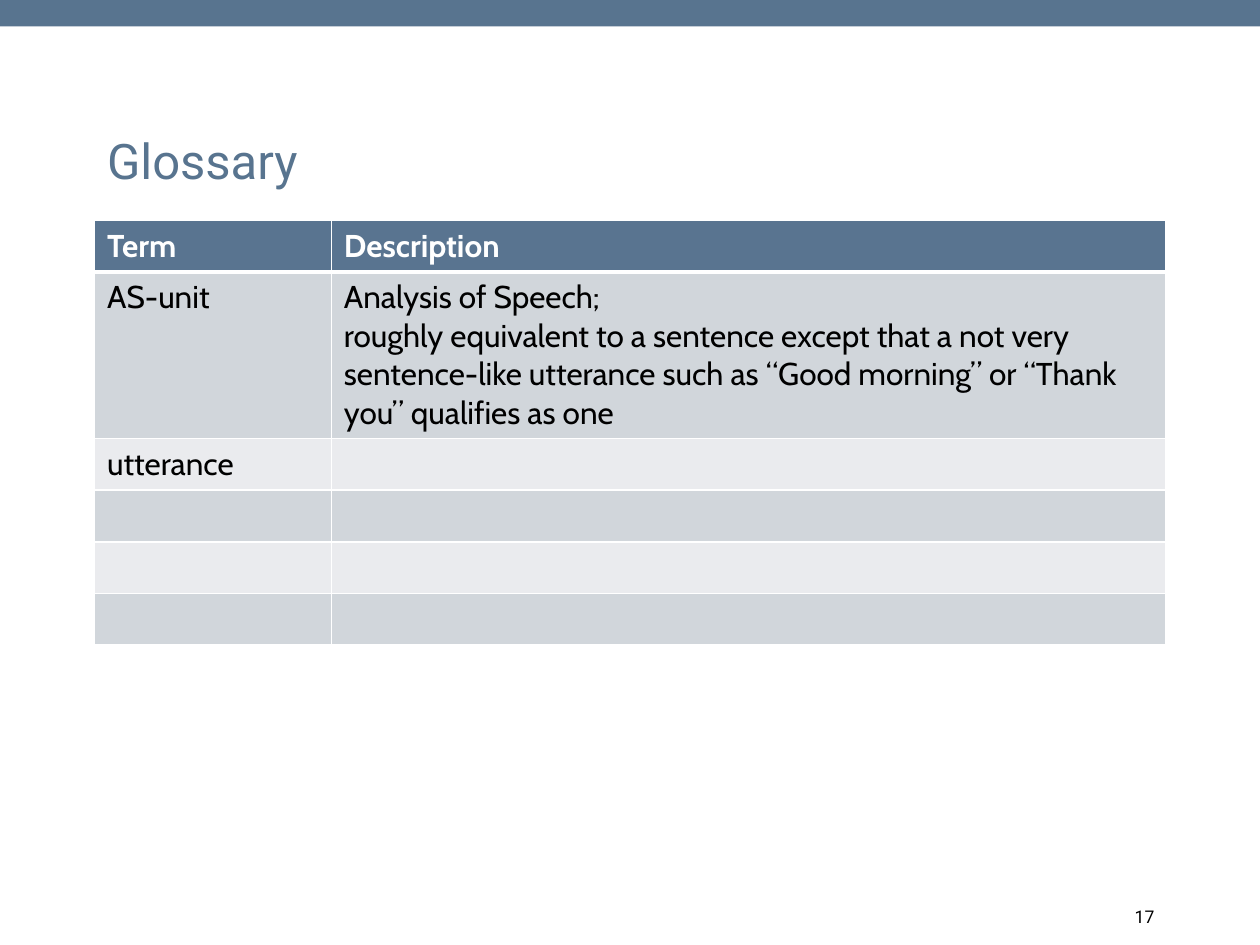
from pptx import Presentation, util as u
from pptx.dml.color import RGBColor
from pptx.enum import shapes, text
from pptx.oxml import parse_xml
from pptx.oxml.ns import nsdecls

TITLE = "Glossary"
PAGE = "17"
ROWS = [
    ("Term", "Description"),
    ("AS-unit", "Analysis of Speech;\vroughly equivalent to a sentence except "
     "that a not very sentence-like utterance such as “Good morning” or "
     "“Thank you” qualifies as one"),
    ("utterance", ""),
    ("", ""),
    ("", ""),
    ("", ""),
]
THEME = dict(bar="58748F", head="597490", odd="D1D6DB", even="EAEBEE",
             ink="000000", paper="FFFFFF", font="Roboto", body="Cabin",
             big=28, mid=18, small=10)

WIDE, HIGH = 10, 7.5
EDGE = 0.75
SPAN = WIDE - 2 * EDGE
TERM = 1.88
LINE = 0.41
TALL = 1.3


def box(left, top, width, height):
    """Turn inches into lengths."""
    return [u.Inches(n) for n in (left, top, width, height)]


def style(frame, font, size, color, bold=False, align=text.PP_ALIGN.LEFT):
    """Format every paragraph and run of a text frame."""
    for para in frame.paragraphs:
        para.alignment = align
        for run in para.runs:
            run.font.name = font
            run.font.size = u.Pt(size)
            run.font.bold = bold
            run.font.color.rgb = RGBColor.from_string(THEME[color])


def border(cell, row):
    """Draw white cell edges, thicker between the header and the body."""
    props = cell._tc.get_or_add_tcPr()
    thick = {"lnB": row == 0, "lnT": row == 1}
    for spot, side in enumerate(("lnL", "lnR", "lnT", "lnB")):
        width = u.Pt(3 if thick.get(side) else 1)
        props.insert(spot, parse_xml(
            f'<a:{side} {nsdecls("a")} w="{width}"><a:solidFill>'
            f'<a:srgbClr val="{THEME["paper"]}"/></a:solidFill></a:{side}>'))


def add_bar(slide):
    """Add the band along the top edge."""
    bar = slide.shapes.add_shape(shapes.MSO_SHAPE.RECTANGLE,
                                 *box(0, 0, WIDE, 0.21))
    bar.shadow.inherit = False
    bar.fill.solid()
    bar.fill.fore_color.rgb = RGBColor.from_string(THEME["bar"])
    bar.line.fill.background()


def add_title(slide):
    """Fill and place the title placeholder."""
    title = slide.shapes.title
    title.left, title.top, title.width, title.height = box(EDGE, 0.99, SPAN, 0.56)
    frame = title.text_frame
    frame.text = TITLE
    frame.vertical_anchor = text.MSO_ANCHOR.MIDDLE
    style(frame, THEME["font"], THEME["big"], "bar")


def add_terms(slide):
    """Add the table of terms."""
    high = LINE * (len(ROWS) - 1) + TALL
    table = slide.shapes.add_table(len(ROWS), 2,
                                   *box(EDGE, 1.75, SPAN, high)).table
    for col, width in zip(table.columns, (TERM, SPAN - TERM)):
        col.width = u.Inches(width)
    for r, words in enumerate(ROWS):
        table.rows[r].height = u.Inches(TALL if r == 1 else LINE)
        shade = "head" if r == 0 else ("even", "odd")[r % 2]
        for c, word in enumerate(words):
            cell = table.cell(r, c)
            cell.text_frame.paragraphs[0].text = word
            style(cell.text_frame, THEME["body"], THEME["mid"],
                  "ink" if r else "paper", bold=r == 0)
            cell.fill.solid()
            cell.fill.fore_color.rgb = RGBColor.from_string(THEME[shade])
            border(cell, r)


def add_page(slide):
    """Add the page number at the lower right."""
    frame = slide.shapes.add_textbox(*box(7.13, 7.14, 2.13, 0.24)).text_frame
    frame.word_wrap = True
    frame.text = PAGE
    style(frame, THEME["font"], THEME["small"], "ink",
          align=text.PP_ALIGN.RIGHT)


deck = Presentation()
deck.slide_width, deck.slide_height = u.Inches(WIDE), u.Inches(HIGH)
page = deck.slides.add_slide(deck.slide_layouts[5])
for part in (add_bar, add_title, add_terms, add_page):
    part(page)
deck.save("out.pptx")
